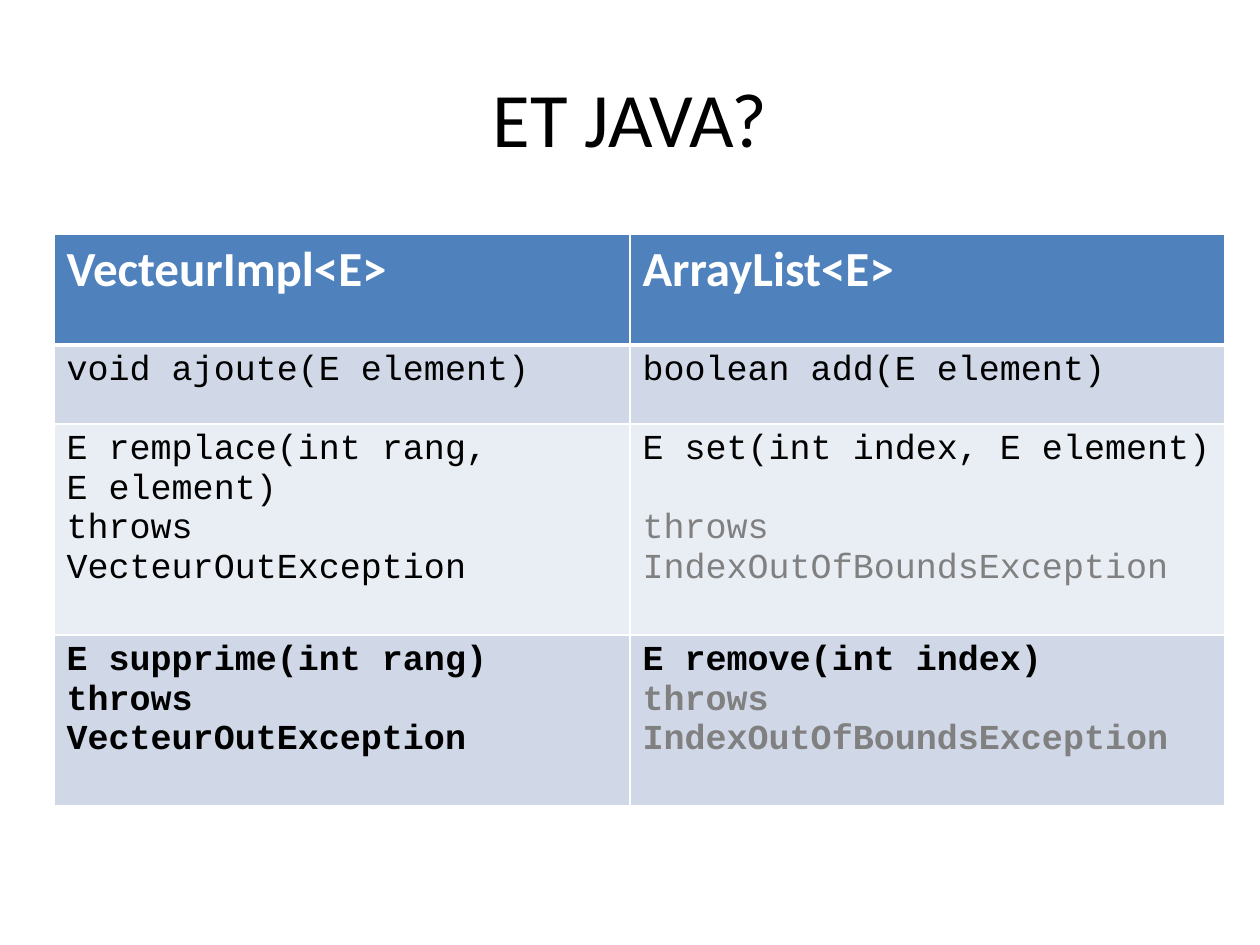
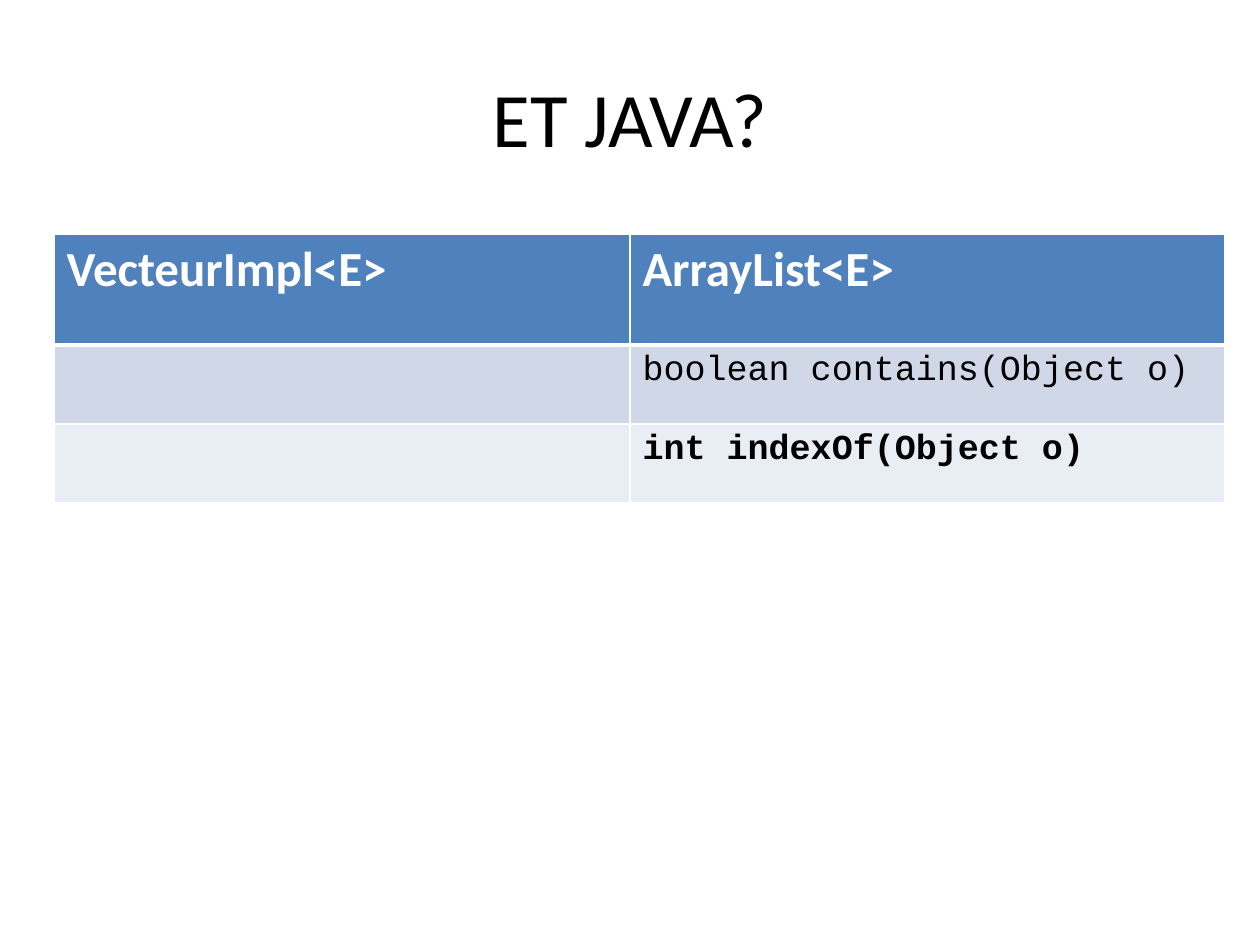
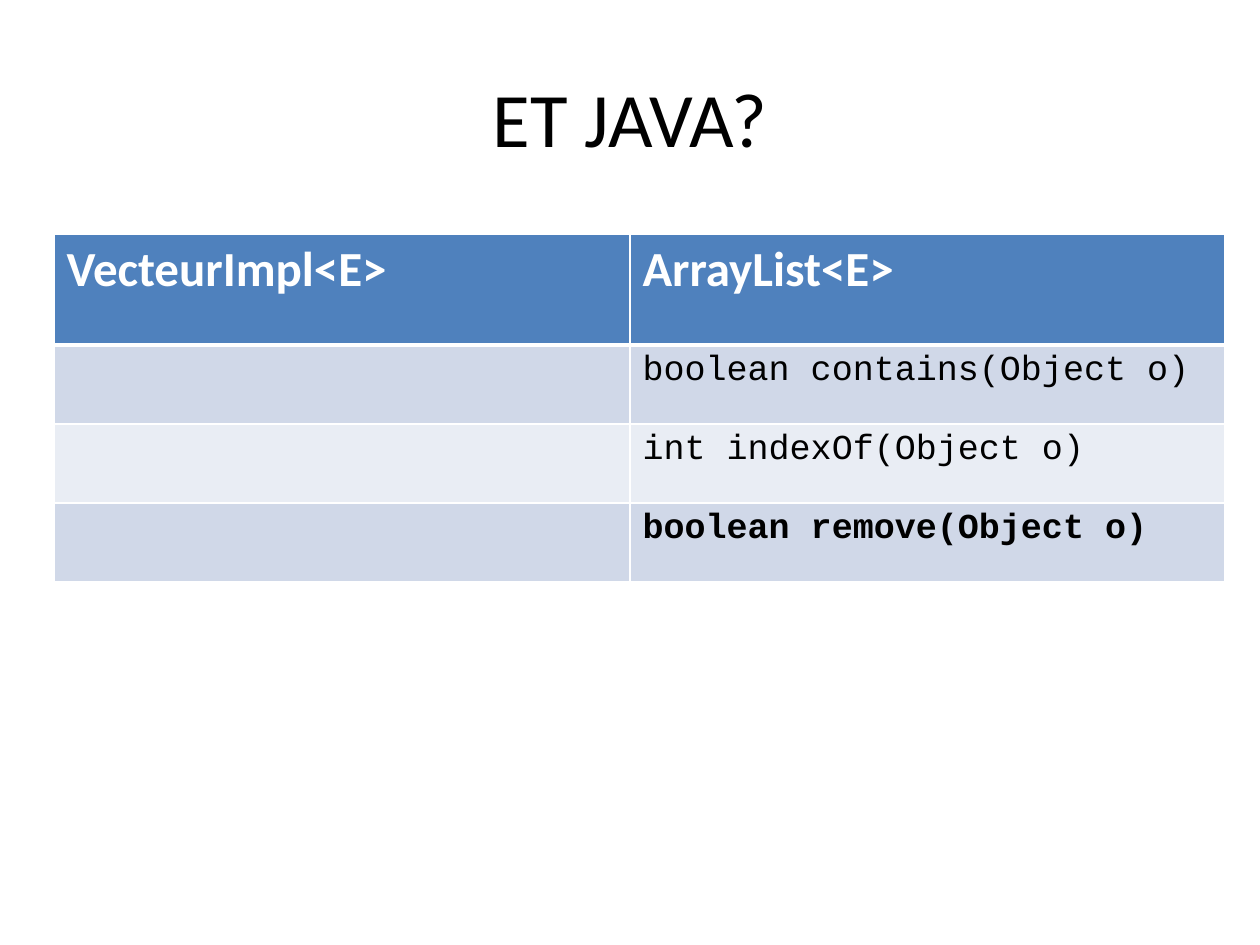
from dataclasses import dataclass

from lxml.etree import SubElement
from pptx import Presentation
from pptx.dml.color import RGBColor
from pptx.enum.text import MSO_ANCHOR, PP_ALIGN
from pptx.oxml.ns import qn
from pptx.util import Emu, Inches, Pt

SCALE = 914400 // 126  # EMU per pixel


@dataclass(frozen=True)
class Theme:
    sans: str = "Calibri"
    mono: str = "Courier New"
    title: int = 44
    head: int = 28
    code: int = 20
    gap: float = 22.6  # one line of code
    black: str = "000000"
    white: str = "FFFFFF"
    grey: str = "808080"
    blue: str = "4F81BD"
    bands: tuple = ("D0D8E8", "E9EDF4")
    thin: int = 1
    thick: int = 3


@dataclass(frozen=True)
class Line:
    text: str
    muted: bool = False
    spaced: bool = False


@dataclass(frozen=True)
class Row:
    left: tuple
    right: tuple
    height: int = 79
    bold: bool = False


THEME = Theme()
TITLE = "ET JAVA?"
HEADS = ("VecteurImpl<E>", "ArrayList<E>")
TITLE_BOX = (63, 38, 1134, 158)
LEFT, TOP = 54, 234
WIDTHS = (576, 595)
HEAD_H = 111
THROWS = (Line("throws"), Line("VecteurOutException"))
BOUNDS = "throws IndexOutOfBoundsException"


def px(n):
    return Emu(n * SCALE)


def style(font, name, size, color, bold=False):
    font.name, font.size, font.bold = name, Pt(size), bold
    font.color.rgb = RGBColor.from_string(color)


def add_title(slide):
    box = slide.shapes.title
    box.left, box.top, box.width, box.height = map(px, TITLE_BOX)
    frame = box.text_frame
    frame.text = TITLE
    frame.vertical_anchor = MSO_ANCHOR.MIDDLE
    para = frame.paragraphs[0]
    para.alignment = PP_ALIGN.CENTER
    style(para.font, THEME.sans, THEME.title, THEME.black)


def paint(cell, color, top, bottom):
    """Border the cell in white, then fill it."""
    props = cell._tc.get_or_add_tcPr()
    sides = {"L": THEME.thin, "R": THEME.thin, "T": top, "B": bottom}
    for side, width in sides.items():
        edge = SubElement(props, qn(f"a:ln{side}"), w=str(Pt(width)))
        fill = SubElement(edge, qn("a:solidFill"))
        SubElement(fill, qn("a:srgbClr"), val=THEME.white)
    cell.fill.solid()
    cell.fill.fore_color.rgb = RGBColor.from_string(color)


def write_head(cell, text):
    cell.text = text
    font = cell.text_frame.paragraphs[0].font
    style(font, THEME.sans, THEME.head, THEME.white, True)


def write_code(cell, lines, bold):
    frame = cell.text_frame
    for i, line in enumerate(lines):
        para = frame.add_paragraph() if i else frame.paragraphs[0]
        para.text = line.text
        color = THEME.grey if line.muted else THEME.black
        style(para.font, THEME.mono, THEME.code, color, bold)
        if line.spaced:
            para.space_before = Pt(THEME.gap)


def add_grid(slide, rows):
    heights = [HEAD_H] + [row.height for row in rows]
    box = (LEFT, TOP, sum(WIDTHS), sum(heights))
    grid = slide.shapes.add_table(len(heights), len(WIDTHS), *map(px, box)).table
    for col, width in zip(grid.columns, WIDTHS):
        col.width = px(width)
    for line, height in zip(grid.rows, heights):
        line.height = px(height)
    # Header
    for c, text in enumerate(HEADS):
        cell = grid.cell(0, c)
        paint(cell, THEME.blue, THEME.thin, THEME.thick)
        write_head(cell, text)
    # Banded body
    for r, row in enumerate(rows):
        for c, lines in enumerate((row.left, row.right)):
            cell = grid.cell(r + 1, c)
            top = THEME.thin if r else THEME.thick
            paint(cell, THEME.bands[r % 2], top, THEME.thin)
            write_code(cell, lines, row.bold)


def query(text, bold=False):
    """A method that only the right column has."""
    return Row((), (Line(text),), bold=bold)


def main():
    deck = Presentation()
    deck.slide_width, deck.slide_height = Inches(10), Inches(7.5)
    has = query("boolean contains(Object o)")
    index = "int indexOf(Object o)"
    pages = (
        (
            Row((Line("void ajoute(E element)"),),
                (Line("boolean add(E element)"),)),
            Row((Line("E remplace(int rang,"), Line("E element)"), *THROWS),
                (Line("E set(int index, E element)"),
                 Line(BOUNDS, muted=True, spaced=True)),
                height=211),
            Row((Line("E supprime(int rang)"), *THROWS),
                (Line("E remove(int index)"), Line(BOUNDS, muted=True)),
                height=171, bold=True),
        ),
        (has, query(index, True)),
        (has, query(index), query("boolean remove(Object o)", True)),
    )
    for rows in pages:
        slide = deck.slides.add_slide(deck.slide_layouts[5])
        add_title(slide)
        add_grid(slide, rows)
    deck.save("out.pptx")


main()
